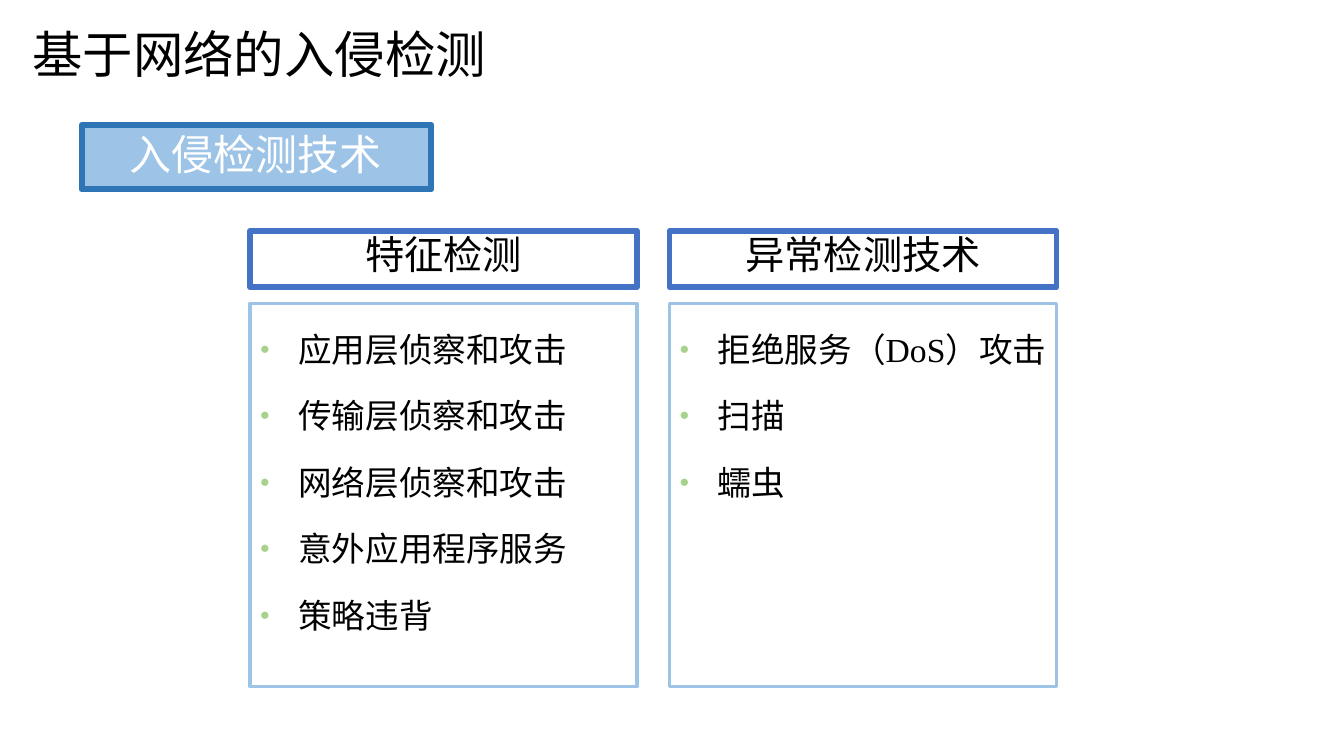
"""Build the slide on network-based intrusion detection."""
from lxml.etree import SubElement as Sub
from pptx import Presentation
from pptx.dml.color import RGBColor as Rgb
from pptx.enum.shapes import MSO_SHAPE as Kind
from pptx.enum.text import MSO_ANCHOR as Anchor, PP_ALIGN as Align
from pptx.oxml.ns import qn
from pptx.util import Inches, Pt

HUES = {"ink": "000000", "white": "FFFFFF", "sky": "9DC3E6", "deep": "2E75B6",
        "royal": "4472C4", "leaf": "A9D18E"}
CJK, LATIN = "Noto Sans CJK SC", "Times New Roman"
LEFT, STEP, WIDE = 2.48, 4.16, 3.84
COLS = [
    ("特征检测", ["应用层侦察和攻击", "传输层侦察和攻击", "网络层侦察和攻击",
              "意外应用程序服务", "策略违背"]),
    ("异常检测技术", ["拒绝服务（DoS）攻击", "扫描", "蠕虫"]),
]


def add_box(x, y, w, h, edge, width, fill=None):
    box = slide.shapes.add_shape(Kind.RECTANGLE, *map(Inches, (x, y, w, h)))
    box.shadow.inherit = False
    if fill:
        box.fill.solid()
        box.fill.fore_color.rgb = Rgb.from_string(HUES[fill])
    else:
        box.fill.background()
    box.line.color.rgb = Rgb.from_string(HUES[edge])
    box.line.width = Pt(width)
    box.text_frame.word_wrap = True
    box.text_frame.vertical_anchor = Anchor.TOP
    return box.text_frame


def add_run(para, text, size, hue="ink", face=CJK):
    run = para.add_run()
    run.text = text
    run.font.size = Pt(size)
    run.font.color.rgb = Rgb.from_string(HUES[hue])
    run.font.name = face
    Sub(run.font._element, qn("a:ea"), typeface=CJK)


deck = Presentation()
deck.slide_width, deck.slide_height = Inches(13.33), Inches(7.5)
slide = deck.slides.add_slide(deck.slide_layouts[6])

title = slide.shapes.add_textbox(*map(Inches, (0.21, 0, 5.91, 1.06))).text_frame
title.word_wrap = True
title.vertical_anchor = Anchor.MIDDLE
title.margin_left = title.margin_right = Inches(0.11)
title.margin_top = title.margin_bottom = Inches(0.06)
add_run(title.paragraphs[0], "基于网络的入侵检测", 36)

tag = add_box(0.81, 1.24, 3.47, 0.64, "deep", 4.33, "sky")
tag.vertical_anchor = Anchor.MIDDLE
tag.margin_left = tag.margin_right = Inches(0.47)
tag.margin_top = tag.margin_bottom = 0
tag.paragraphs[0].alignment = Align.LEFT
tag.paragraphs[0].line_spacing = 0.9
add_run(tag.paragraphs[0], "入侵检测技术", 30, "white")

for col, (name, items) in enumerate(COLS):
    x = LEFT + col * STEP
    head = add_box(x, 2.29, WIDE, 0.56, "royal", 4).paragraphs[0]
    head.alignment = Align.CENTER
    head.line_spacing = 0.9
    head.space_before = Pt(10)
    add_run(head, name, 28)

    body = add_box(x, 3.01, WIDE, 3.8, "sky", 2.5)
    for row, item in enumerate(items):
        para = body.add_paragraph() if row else body.paragraphs[0]
        para.alignment = Align.LEFT
        para.level = 1
        para.line_spacing = 1.5
        para.space_before = Pt(4.3)
        props = para._p.get_or_add_pPr()
        props.set("marL", str(Inches(0.38)))
        props.set("indent", str(-Inches(0.38)))
        Sub(Sub(props, qn("a:buClr")), qn("a:srgbClr"), val=HUES["leaf"])
        Sub(props, qn("a:buSzPct"), val="50000")
        Sub(props, qn("a:buFont"), typeface=LATIN)
        Sub(props, qn("a:buChar"), char="●")
        add_run(para, item, 24, face=LATIN)

deck.save("out.pptx")
